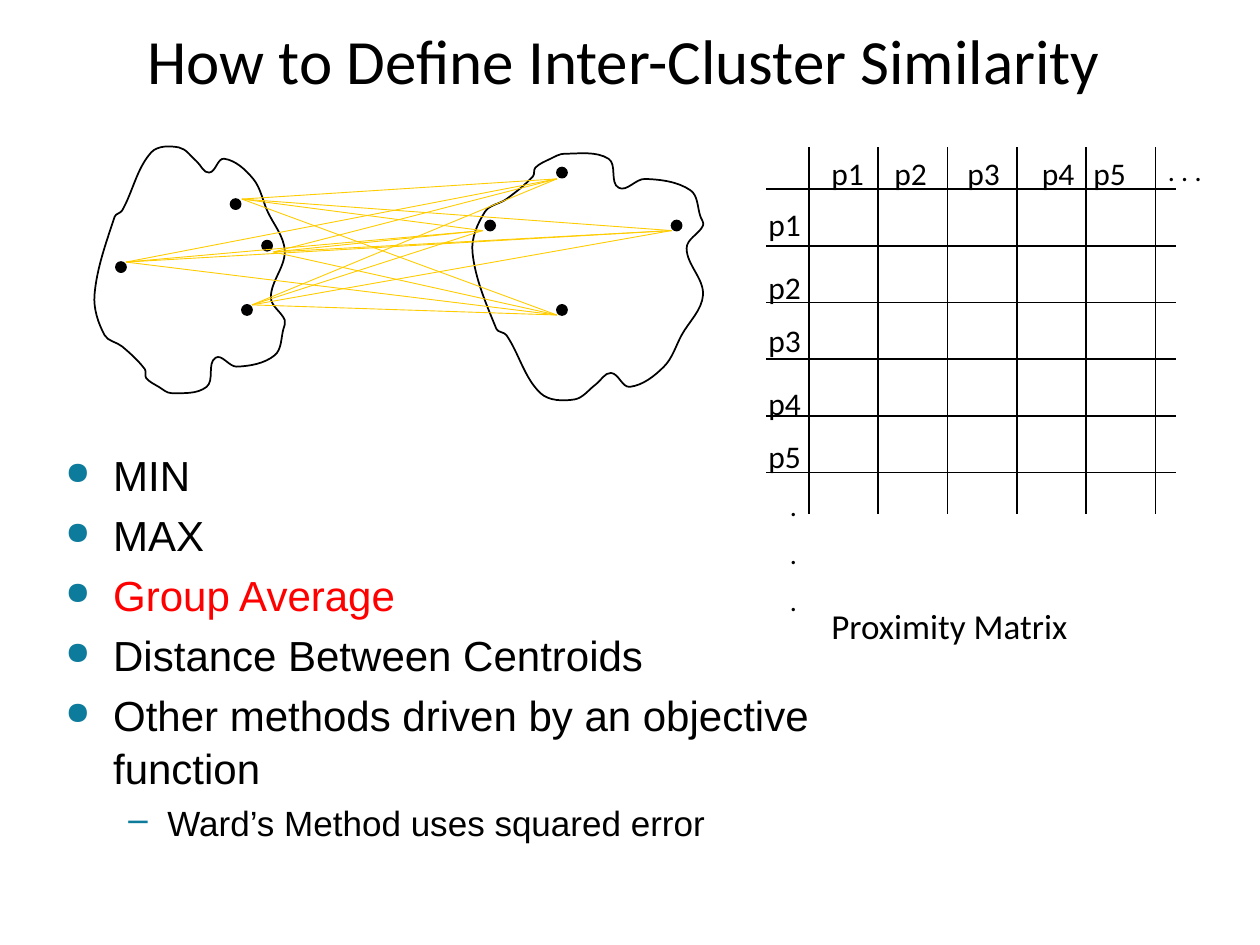
from itertools import product
from math import dist

from lxml import etree
from pptx import Presentation
from pptx.dml.color import RGBColor
from pptx.enum.shapes import MSO_CONNECTOR, MSO_SHAPE
from pptx.enum.text import MSO_ANCHOR, PP_ALIGN
from pptx.oxml.ns import qn
from pptx.util import Inches, Pt

STRAIGHT = MSO_CONNECTOR.STRAIGHT
OVAL = MSO_SHAPE.OVAL
MIDDLE = MSO_ANCHOR.MIDDLE
CENTER = PP_ALIGN.CENTER

BLACK = RGBColor(0x00, 0x00, 0x00)
RED = RGBColor(0xFF, 0x00, 0x00)
YELLOW = RGBColor(0xFF, 0xCC, 0x00)
TEAL = RGBColor(0x0C, 0x7B, 0x9C)

LEFT_OUTLINE = [
    (0.41, 0.72), (0.25, 1.34), (0.33, 1.66), (0.47, 1.75), (0.65, 1.93), (0.66, 2),
    (0.76, 2.07), (0.86, 2.12), (1.14, 2.07), (1.21, 1.84), (1.38, 1.91), (1.68, 1.82),
    (1.75, 1.61), (1.76, 1.54), (1.65, 1.36), (1.76, 0.99), (1.62, 0.67), (1.51, 0.42),
    (1.28, 0.26), (1.16, 0.37), (1.06, 0.28), (0.92, 0.17), (0.7, 0.21), (0.47, 0.67),
]
RIGHT_OUTLINE = [
    (3.44, 1.61), (3.25, 1), (3.35, 0.68), (3.52, 0.58), (3.73, 0.4), (3.75, 0.33),
    (3.87, 0.26), (3.98, 0.22), (4.33, 0.26), (4.41, 0.49), (4.62, 0.42), (4.98, 0.51),
    (5.06, 0.72), (5.08, 0.79), (4.95, 0.97), (5.08, 1.34), (4.91, 1.66), (4.77, 1.91),
    (4.5, 2.07), (4.35, 1.96), (4.23, 2.05), (4.06, 2.17), (3.79, 2.12), (3.52, 1.66),
]
DOTS = [
    (1.42, 1.42), (1.33, 0.58), (0.42, 1.08), (1.58, 0.91),
    (4.83, 0.75), (3.35, 0.75), (3.92, 1.42), (3.92, 0.33),
]
LEFT_ENDS = [(1.5, 1.42), (1.67, 1), (0.5, 1.08), (1.42, 0.58)]
RIGHT_ENDS = [(3.92, 1.5), (3.33, 0.83), (3.92, 0.42), (4.83, 0.83)]
METHODS = [
    ("MIN", 0, BLACK),
    ("MAX", 0, BLACK),
    ("Group Average", 0, RED),
    ("Distance Between Centroids", 0, BLACK),
    ("Other methods driven by an objective function", 0, BLACK),
    ("Ward’s Method uses squared error", 1, BLACK),
]


def add_span(para, text, size, color=BLACK, font="Calibri"):
    """Add one formatted run to a paragraph."""
    span = para.add_run()
    span.text = text
    span.font.name, span.font.size = font, Pt(size)
    span.font.color.rgb = color


def add_label(shapes, left, top, width, height, lines, size):
    """Add a text box with one paragraph per line."""
    box = shapes.add_textbox(Inches(left), Inches(top), Inches(width), Inches(height))
    frame = box.text_frame
    frame.word_wrap = True
    for index, text in enumerate(lines):
        para = frame.add_paragraph() if index else frame.paragraphs[0]
        if index:
            para.space_before = Pt(size / 2)
        add_span(para, text, size)


def add_line(shapes, start, end, color, width):
    """Add a straight line without a shadow."""
    line = shapes.add_connector(STRAIGHT, *map(Inches, (*start, *end)))
    line.line.color.rgb, line.line.width = color, Pt(width)
    etree.SubElement(line._element.spPr, qn("a:effectLst"))


def add_blob(shapes, points):
    """Add a closed outline whose corners are smoothed into Bezier curves."""
    corners = [(Inches(x), Inches(y)) for x, y in points]
    builder = shapes.build_freeform(*corners[0], scale=1.0)
    builder.add_line_segments(corners[1:] + corners[:1], close=True)
    blob = builder.convert_to_shape()
    blob.shadow.inherit = False
    blob.fill.background()
    blob.line.color.rgb, blob.line.width = BLACK, Pt(1)

    segments = list(blob._element.iter(qn("a:lnTo")))
    ends = [(int(s[0].get("x")), int(s[0].get("y"))) for s in segments]
    count = len(ends)
    tangents = []
    for i in range(count):
        before, after = ends[i - 1], ends[(i + 1) % count]
        span = dist(before, after)
        tangents.append(((after[0] - before[0]) / span, (after[1] - before[1]) / span))
    for i, segment in enumerate(segments):
        start, end = ends[i - 1], ends[i]
        reach = dist(start, end) / 3
        first = [p + reach * t for p, t in zip(start, tangents[i - 1])]
        second = [p - reach * t for p, t in zip(end, tangents[i])]
        curve = etree.Element(qn("a:cubicBezTo"))
        for x, y in (first, second, end):
            etree.SubElement(curve, qn("a:pt"), x=str(round(x)), y=str(round(y)))
        segment.getparent().replace(segment, curve)


def add_title(page, left, top, width, height):
    """Place and format the title placeholder."""
    title = page.shapes.title
    title.left, title.top = Inches(left), Inches(top)
    title.width, title.height = Inches(width), Inches(height)
    title.text_frame.vertical_anchor = MIDDLE
    para = title.text_frame.paragraphs[0]
    para.alignment = CENTER
    add_span(para, "How to Define Inter-Cluster Similarity", 36)


def add_matrix(page, left, top):
    """Draw the proximity matrix grid with its labels and caption."""
    shapes = page.shapes.add_group_shape().shapes
    for i in range(6):
        x, y = left + 0.42 + 0.55 * i, top + 0.33 + 0.45 * i
        add_line(shapes, (x, top), (x, top + 2.91), BLACK, 1)
        add_line(shapes, (left + 0.08, y), (left + 3.33, y), BLACK, 1)
    row_tops = (0.41, 0.91, 1.33, 1.83, 2.25)
    column_lefts = (0.5, 1, 1.58, 2.17, 2.58)
    for i, (x, y) in enumerate(zip(column_lefts, row_tops), 1):
        add_label(shapes, left, top + y, 0.58, 0.33, [f"p{i}"], 18)
        add_label(shapes, left + x, top, 0.58, 0.33, [f"p{i}"], 18)
    add_label(shapes, left + 3.17, top, 0.58, 0.37, [". . ."], 16)
    add_label(shapes, left + 0.17, top + 2.66, 0.58, 1.17, [".", ".", "."], 16)
    add_label(page.shapes, left + 0.5, top + 3.58, 2.75, 0.43, ["Proximity Matrix"], 20)


def add_clusters(page, left, top):
    """Draw two clusters and a line for each pair of points across them."""
    def shift(points):
        return [(left + x, top + y) for x, y in points]

    for outline in (LEFT_OUTLINE, RIGHT_OUTLINE):
        add_blob(page.shapes, shift(outline))
    for x, y in shift(DOTS):
        dot = page.shapes.add_shape(OVAL, *map(Inches, (x, y, 0.08, 0.08)))
        dot.shadow.inherit = False
        dot.fill.solid()
        dot.fill.fore_color.rgb = dot.line.color.rgb = BLACK
        dot.line.width = Pt(1)
    for start, end in product(shift(LEFT_ENDS), shift(RIGHT_ENDS)):
        add_line(page.shapes, start, end, YELLOW, 0.5)


def add_bullet(para, level):
    """Give a paragraph the indent and bullet of its level."""
    margin, hang, mark = ((0.38, 0.38, "●"), (0.81, 0.31, "–"))[level]
    para.level = level
    props = para._p.get_or_add_pPr()
    props.set("marL", str(Inches(margin)))
    props.set("indent", str(-Inches(hang)))
    color = etree.SubElement(props, qn("a:buClr"))
    etree.SubElement(color, qn("a:srgbClr"), val=str(TEAL))
    if level == 0:
        etree.SubElement(props, qn("a:buSzPct"), val="75000")
    etree.SubElement(props, qn("a:buChar"), char=mark)


def add_methods(page, left, top, width, height):
    """Add the bulleted list of similarity definitions."""
    box = page.shapes.add_textbox(*map(Inches, (left, top, width, height)))
    frame = box.text_frame
    frame.word_wrap = True
    for index, (text, level, color) in enumerate(METHODS):
        para = frame.add_paragraph() if index else frame.paragraphs[0]
        add_bullet(para, level)
        para.line_spacing = 1.05
        para.space_before = Pt(2 if index else 0)
        para.space_after = Pt(2)
        add_span(para, text, (24, 20)[level], color, "Arial")


def main():
    """Build the slide and save the deck."""
    deck = Presentation()
    deck.slide_width, deck.slide_height = Inches(10), Inches(7.5)
    page = deck.slides.add_slide(deck.slide_layouts[5])
    add_title(page, 0.42, 0.17, 9.06, 0.6)
    add_matrix(page, 6, 1.17)
    add_clusters(page, 0.5, 1)
    add_methods(page, 0.42, 3.5, 6.33, 3.42)
    deck.save("out.pptx")


if __name__ == "__main__":
    main()
